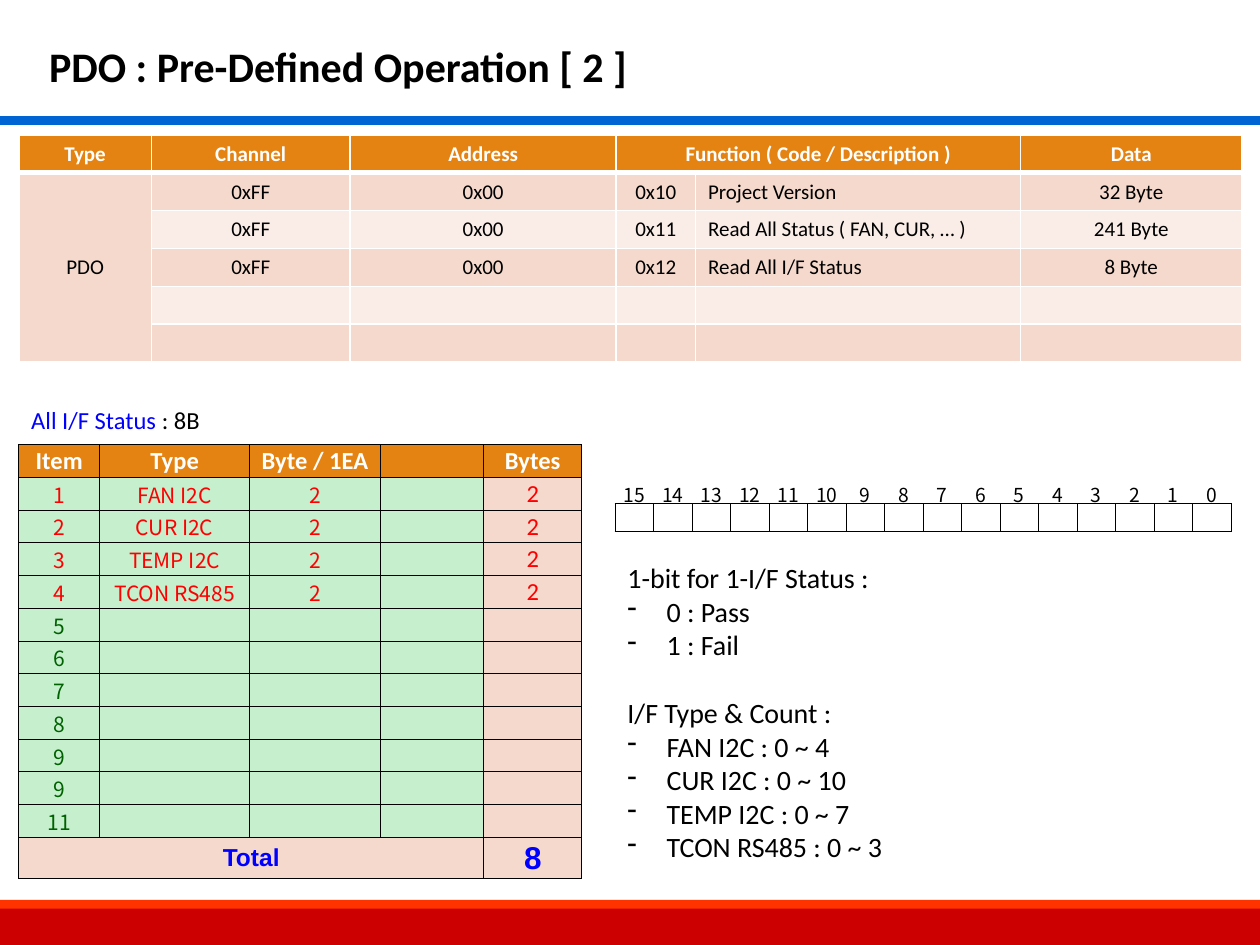
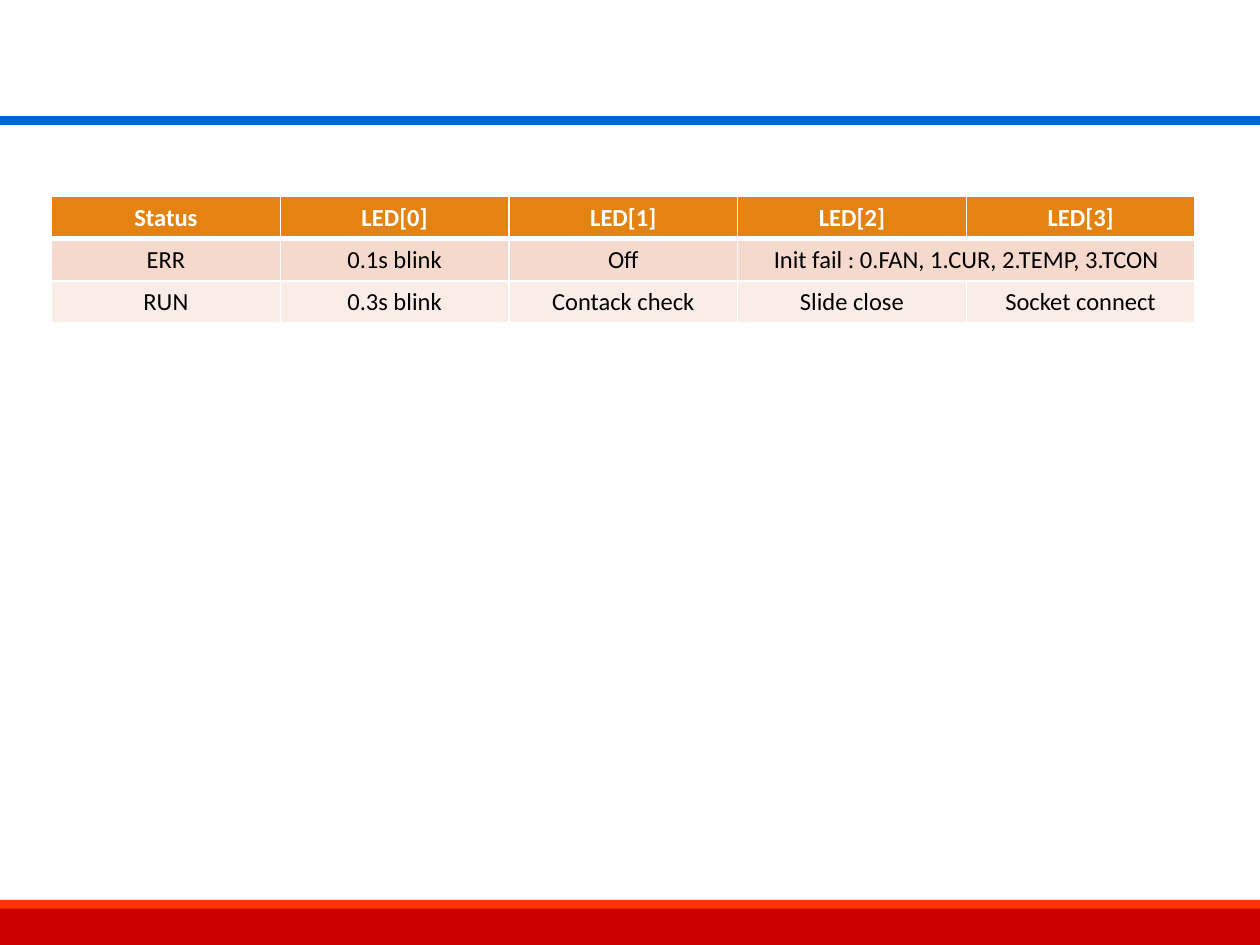
from lxml import etree
from pptx import Presentation
from pptx import util as u
from pptx.dml.color import RGBColor
from pptx.enum import shapes, text
from pptx.oxml.ns import qn

# Shared style
BLACK, WHITE, RED, BLUE, GREEN = "000000", "FFFFFF", "FF0000", "0000FF", "006100"
HEADER, BAND, PALE_BAND, ITEM_FILL = "E48312", "F5D9CC", "FAEDE7", "C6EFCE"
BODY_FONT, ITEM_FONT, TOTAL_FONT = "Calibri", "Noto Sans CJK SC", "Arial"
CENTER, LEFT = text.PP_ALIGN.CENTER, text.PP_ALIGN.LEFT
THIN = (BLACK, 0.5)
# top, height, fill, outline width
BANDS = [(18.31, 0.74, "CC0000", 0), (18.14, 0.18, "FF3300", 0),
         (2.36, 0.13, "0064D2", 1.25)]


def rgb(value):
    return RGBColor.from_string(value)


def write(paragraph, content, size=12, font=BODY_FONT, color=BLACK, bold=False,
          align=LEFT):
    paragraph.alignment = align
    if not content:
        # An empty cell still takes its line height from this size
        etree.SubElement(paragraph._p, qn("a:endParaRPr"), sz=str(size * 100))
        return
    run = paragraph.add_run()
    run.text = content
    run.font.size, run.font.name, run.font.bold = u.Pt(size), font, bold
    run.font.color.rgb = rgb(color)


def add_dash(paragraph, indent):
    properties = paragraph._p.get_or_add_pPr()
    properties.set("marL", str(indent))
    properties.set("indent", str(-indent))
    etree.SubElement(properties, qn("a:buChar"), char="-")


def draw_borders(cell, borders):
    properties = cell._tc.get_or_add_tcPr()
    for side in "LRTB":
        if side in borders:
            color, width = borders[side]
            line = etree.SubElement(properties, qn("a:ln" + side),
                                    w=str(u.Pt(width)))
            fill = etree.SubElement(line, qn("a:solidFill"))
            etree.SubElement(fill, qn("a:srgbClr"), val=color)


class Deck:
    def __init__(self):
        self.prs = Presentation()
        self.prs.slide_width, self.prs.slide_height = u.Cm(25.4), u.Cm(19.05)
        self.slide = None

    def new_slide(self):
        self.slide = self.prs.slides.add_slide(self.prs.slide_layouts[6])
        for top, height, fill, outline in BANDS:
            self.band(top, height, fill, outline)

    def band(self, top, height, fill, outline):
        band = self.slide.shapes.add_shape(
            shapes.MSO_SHAPE.RECTANGLE, 0, u.Cm(top), self.prs.slide_width,
            u.Cm(height))
        band.shadow.inherit = False
        band.fill.solid()
        band.fill.fore_color.rgb = rgb(fill)
        if outline:
            band.line.color.rgb = rgb(fill)
            band.line.width = u.Pt(outline)
        else:
            band.line.fill.background()

    def text_box(self, left, top, width, height):
        box = self.slide.shapes.add_textbox(
            u.Cm(left), u.Cm(top), u.Cm(width), u.Cm(height))
        frame = box.text_frame
        frame.word_wrap = False
        frame.auto_size = text.MSO_AUTO_SIZE.SHAPE_TO_FIT_TEXT
        return frame

    def title(self, content):
        frame = self.text_box(0.74, 0.69, 12.29, 1.27)
        write(frame.paragraphs[0], content, size=24, bold=True)

    def legend(self, left, top, width, height, groups, size):
        frame = self.text_box(left, top, width, height)
        for number, (heading, entries) in enumerate(groups):
            paragraph = frame.add_paragraph() if number else frame.paragraphs[0]
            if number:
                paragraph.space_before = u.Pt(19.5)
            write(paragraph, heading, size=size)
            for entry in entries:
                paragraph = frame.add_paragraph()
                write(paragraph, entry, size=size)
                add_dash(paragraph, u.Cm(0.79))

    def table(self, left, top, widths, heights, rows, look, merges=(), tight=False):
        """look(row, column) gives the fill, the borders and the text format."""
        grid = self.slide.shapes.add_table(
            len(heights), len(widths), u.Cm(left), u.Cm(top),
            u.Cm(sum(widths)), u.Cm(sum(heights))).table
        grid.first_row = grid.horz_banding = False
        for column, width in zip(grid.columns, widths):
            column.width = u.Cm(width)
        for row, height in zip(grid.rows, heights):
            row.height = u.Cm(height)
        for r, row in enumerate(rows):
            for c, content in enumerate(row):
                cell = grid.cell(r, c)
                fill, borders, style = look(r, c)
                draw_borders(cell, borders)
                cell.fill.solid()
                cell.fill.fore_color.rgb = rgb(fill)
                cell.vertical_anchor = text.MSO_ANCHOR.MIDDLE
                if tight:
                    cell.margin_left = cell.margin_right = u.Cm(0.02)
                    cell.margin_top, cell.margin_bottom = u.Cm(0.02), 0
                write(cell.text_frame.paragraphs[0], content,
                      **{"align": CENTER, **style})
        for first, last in merges:
            grid.cell(*first).merge(grid.cell(*last))

    def banded_table(self, left, top, widths, row_height, rows, size,
                     merges=(), left_column=None):
        def look(r, c):
            borders = dict.fromkeys("LRTB", (WHITE, 1))
            if r < 2:
                borders["T" if r else "B"] = (WHITE, 3)
            if r == 0:
                return HEADER, borders, dict(size=size, color=WHITE, bold=True)
            align = LEFT if c == left_column else CENTER
            return BAND if r % 2 else PALE_BAND, borders, dict(size=size, align=align)

        self.table(left, top, widths, [row_height] * len(rows), rows, look, merges)


def status_look(r, c):
    """Look of the interface status table: header, items, total."""
    borders = dict.fromkeys("LRTB", THIN)
    bytes_column = c == 4
    if r == 0:
        return HEADER, borders, dict(size=14, color=WHITE, bold=True)
    if r == 12:
        return BAND, borders, dict(size=18 if bytes_column else 14, bold=True,
                                   font=TOTAL_FONT, color=BLUE)
    color = RED if r <= 4 else GREEN
    if bytes_column:
        return BAND, borders, dict(size=14 if r <= 4 else 12, color=color)
    return ITEM_FILL, borders, dict(size=12, font=ITEM_FONT, color=color)


def bit_look(r, c):
    """Look of the bit map: numbers above, boxes below."""
    sides = "LRTB" if r else "B"
    return WHITE, dict.fromkeys(sides, THIN), dict(size=11, font=ITEM_FONT)


def operation_slide(deck):
    deck.new_slide()
    deck.title("PDO : Pre-Defined Operation [ 2 ]")

    # Operation codes
    operations = [("0x10", "Project Version", "32 Byte"),
                  ("0x11", "Read All Status ( FAN, CUR, … )", "241 Byte"),
                  ("0x12", "Read All I/F Status", "8 Byte")]
    rows = [["Type", "Channel", "Address", "Function ( Code / Description )", "",
             "Data"]]
    rows += [["", "0xFF", "0x00", *operation] for operation in operations]
    rows += [[""] * 6] * 2
    rows[1][0] = "PDO"
    deck.banded_table(0.38, 2.72, [2.67, 4.01, 5.36, 1.6, 6.55, 4.47], 0.76,
                      rows, 12, merges=[((0, 3), (0, 4)), ((1, 0), (5, 0))],
                      left_column=4)

    # Interface status bytes
    caption = deck.text_box(0.38, 8.05, 3.94, 0.86).paragraphs[0]
    write(caption, "All I/F Status ", size=14, color=BLUE)
    write(caption, ": 8B", size=14)
    interfaces = ["FAN I2C", "CUR I2C", "TEMP I2C", "TCON RS485"]
    rows = [["Item", "Type", "Byte / 1EA", "", "Bytes"]]
    rows += [[str(item), name, "2", "", "2"]
             for item, name in enumerate(interfaces, 1)]
    rows += [[item, "", "", "", ""] for item in "5 6 7 8 9 9 11".split()]
    rows += [["Total", "", "", "", "8"]]
    deck.table(0.38, 8.96, [1.63, 3.02, 2.64, 2.08, 1.98], [0.66] * 12 + [0.82],
               rows, status_look, merges=[((12, 0), (12, 3))], tight=True)

    # Bit map and its legend
    bits = [str(bit) for bit in reversed(range(16))]
    deck.table(12.4, 9.65, [12.42 / 16] * 16, [0.5, 0.56], [bits, [""] * 16],
               bit_look, tight=True)
    counts = [f"{name} : 0 ~ {last}" for name, last in zip(interfaces, [4, 10, 7, 3])]
    deck.legend(12.4, 11.18, 5.72, 6.4, [
        ("1-bit for 1-I/F Status :", ["0 : Pass", "1 : Fail"]),
        ("I/F Type & Count :", counts)], size=16)


def led_slide(deck):
    deck.new_slide()
    rows = [["Status"] + [f"LED[{led}]" for led in range(4)],
            ["ERR", "0.1s blink", "Off",
             "Init fail : 0.FAN, 1.CUR, 2.TEMP, 3.TCON", ""],
            ["RUN", "0.3s blink", "Contack check", "Slide close",
             "Socket connect"]]
    deck.banded_table(1.04, 3.96, [4.61] * 5, 0.85, rows, 14,
                      merges=[((1, 3), (1, 4))])


def main():
    deck = Deck()
    operation_slide(deck)
    led_slide(deck)
    deck.prs.save("out.pptx")


if __name__ == "__main__":
    main()
